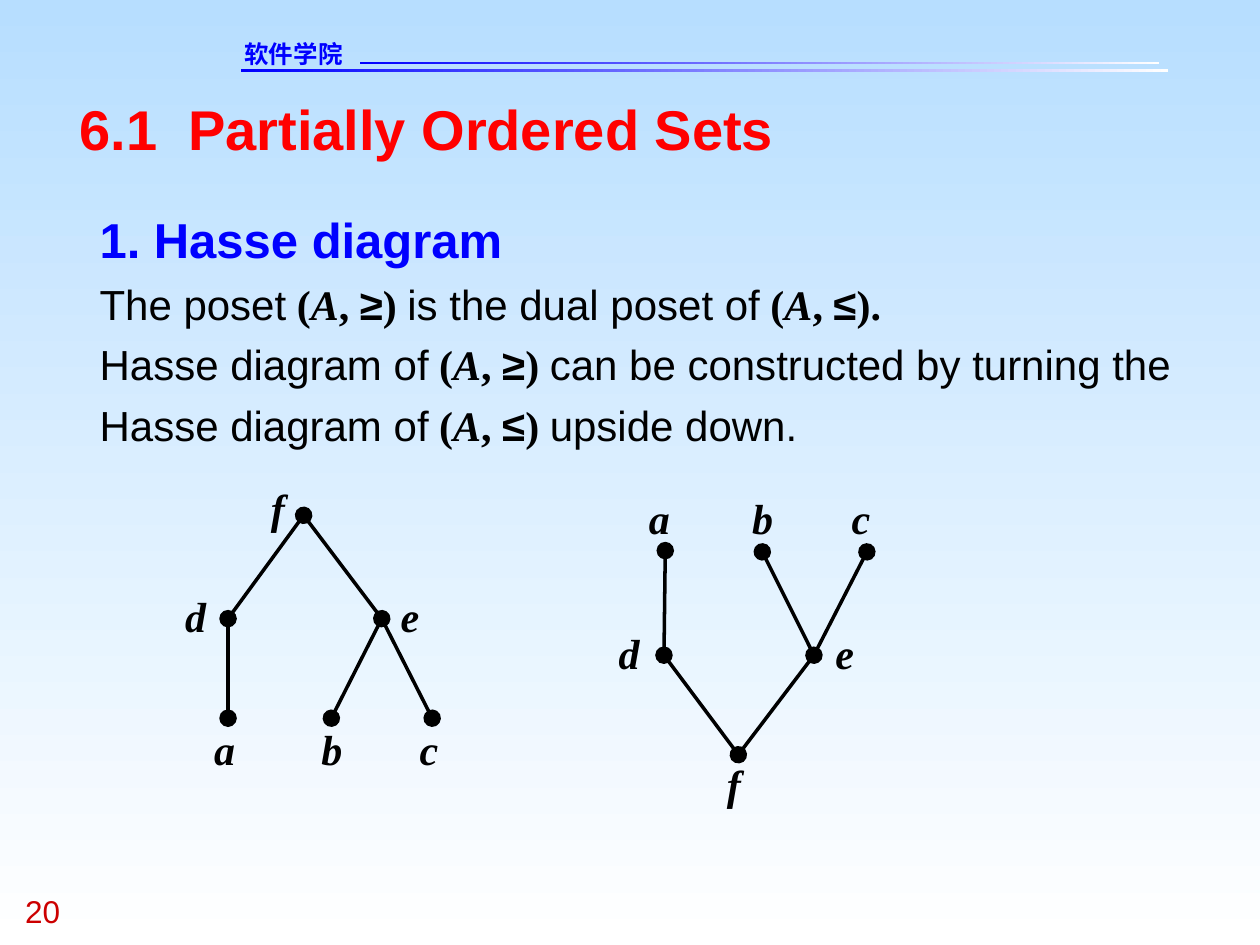
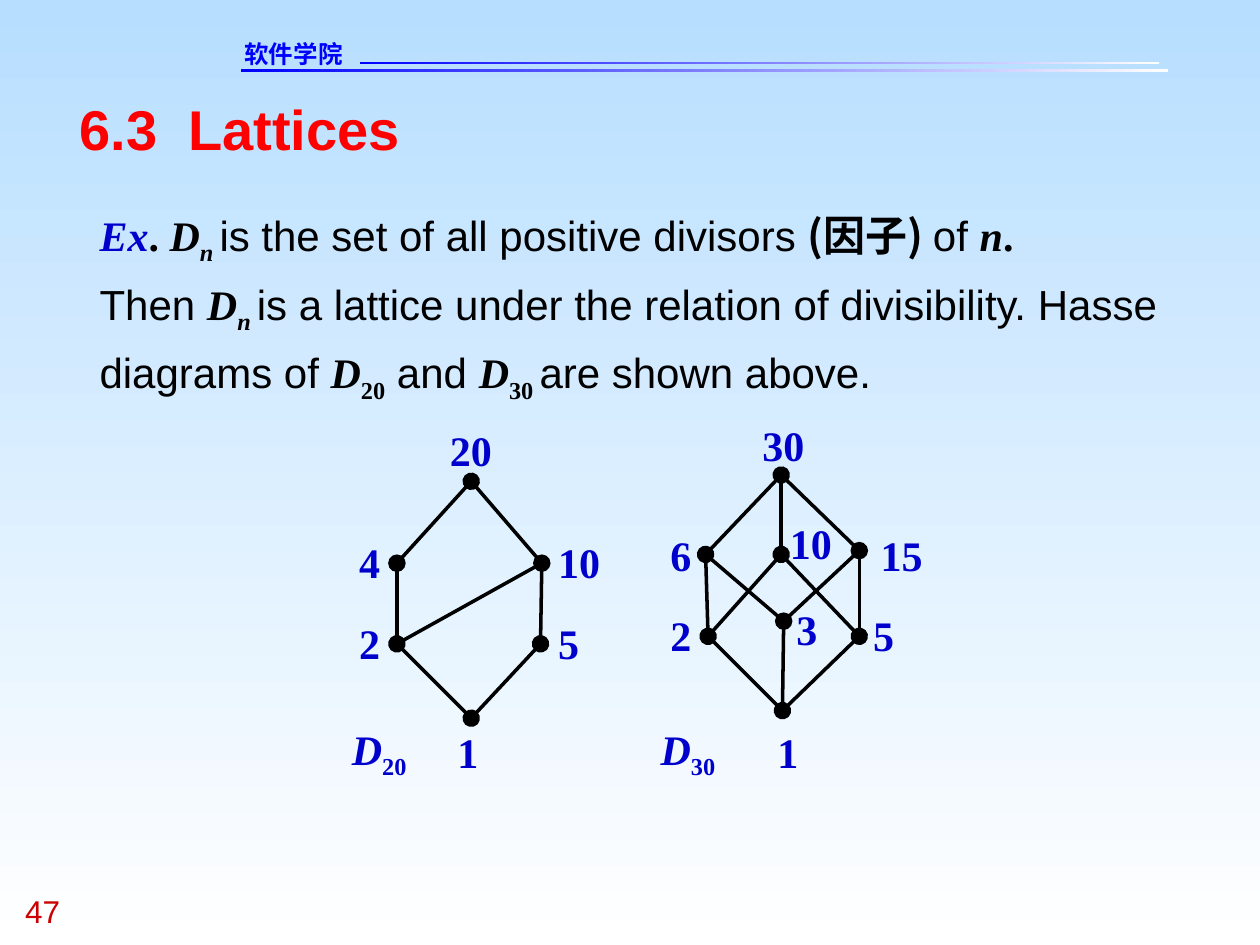
import dataclasses
import typing

import lxml.etree
import pptx
import pptx.dml.color
import pptx.enum.shapes
import pptx.enum.text
import pptx.oxml.ns
import pptx.util

SCALE = 9144  # EMU in one px, 100 px to the inch


@dataclasses.dataclass(frozen=True)
class Theme:
    sky: str = "B7DEFF"
    white: str = "FFFFFF"
    black: str = "000000"
    blue: str = "0000FF"
    navy: str = "0000CC"
    red: str = "FF0000"
    brick: str = "CC0000"
    sans: str = "Arial"
    serif: str = "Times New Roman"
    school: str = "DejaVu Sans"
    hanzi: str = "Noto Sans CJK SC"
    title: int = 32
    head: int = 28
    text: int = 24
    page: int = 18
    small: int = 14
    stroke: int = 2


THEME = Theme()


@dataclasses.dataclass(frozen=True)
class Look:
    font: str = THEME.sans
    size: int = THEME.text
    color: str = THEME.black
    bold: bool = False
    slant: bool = False
    sub: bool = False


class Box(typing.NamedTuple):
    left: int
    top: int
    width: int
    height: int


class Node(typing.NamedTuple):
    x: int
    y: int
    left: int  # corner of the label
    top: int


class Graph(typing.NamedTuple):
    nodes: dict[str, Node]
    edges: str
    look: Look


Run = tuple[str, Look]
Line = list[Run]

# Text looks
PLAIN = Look()
MATH = Look(font=THEME.serif, bold=True)
VAR = dataclasses.replace(MATH, slant=True)
SIGN = Look(bold=True)
HANZI = Look(font=THEME.hanzi, bold=True)
VAR_SUB = dataclasses.replace(VAR, sub=True)
NUM_SUB = dataclasses.replace(MATH, sub=True)
TITLE = Look(size=THEME.title, color=THEME.red, bold=True)
HEAD = Look(size=THEME.head, color=THEME.blue, bold=True)
SCHOOL = Look(THEME.school, THEME.small, THEME.blue, True)
PAGE = Look(size=THEME.page, color=THEME.brick)
NUM_TAG = dataclasses.replace(MATH, color=THEME.navy)
VAR_TAG = dataclasses.replace(VAR, color=THEME.navy)
SUB_TAG = dataclasses.replace(NUM_SUB, color=THEME.navy)

# Shared places
TITLE_BOX = Box(63, 75, 875, 53)
SCHOOL_BOX = Box(194, 31, 145, 23)
PAGE_BOX = Box(20, 708, 75, 30)
BARS = (Box(191, 55, 736, 2), Box(286, 49, 634, 2))


def px(value: int) -> pptx.util.Emu:
    return pptx.util.Emu(value * SCALE)


def rgb(color: str) -> pptx.dml.color.RGBColor:
    return pptx.dml.color.RGBColor.from_string(color)


def place(shape, box: Box) -> None:
    shape.left, shape.top, shape.width, shape.height = map(px, box)


def blend(fill, start: str, end: str, angle: int) -> None:
    fill.gradient()
    fill.gradient_angle = angle
    for stop, color in zip(fill.gradient_stops, (start, end)):
        stop.color.rgb = rgb(color)


def style(run, look: Look) -> None:
    font = run.font
    font.name, font.size = look.font, pptx.util.Pt(look.size)
    font.bold, font.italic = look.bold, look.slant
    font.color.rgb = rgb(look.color)
    props = run._r.get_or_add_rPr()
    east = lxml.etree.Element(pptx.oxml.ns.qn("a:ea"), typeface=look.font)
    props.find(pptx.oxml.ns.qn("a:latin")).addnext(east)
    if look.sub:
        props.set("baseline", "-25000")


def write(shape, lines: list[Line], space: float = 1.0, center: bool = False) -> None:
    frame = shape.text_frame
    frame.word_wrap = True
    frame.auto_size = pptx.enum.text.MSO_AUTO_SIZE.SHAPE_TO_FIT_TEXT
    frame.vertical_anchor = pptx.enum.text.MSO_ANCHOR.TOP
    frame.margin_left = frame.margin_right = 0
    frame.margin_top = frame.margin_bottom = 0
    align = pptx.enum.text.PP_ALIGN
    for count, line in enumerate(lines):
        para = frame.add_paragraph() if count else frame.paragraphs[0]
        para.alignment = align.CENTER if center else align.LEFT
        para.line_spacing = space
        para.space_before = pptx.util.Pt(0)
        if shape.is_placeholder:
            props = para._p.get_or_add_pPr()
            props.set("marL", "0")
            props.set("indent", "0")
            lxml.etree.SubElement(props, pptx.oxml.ns.qn("a:buNone"))
        for text, look in line:
            run = para.add_run()
            run.text = text
            style(run, look)


def add_text(slide, box: Box, line: Line, center: bool = False) -> None:
    shape = slide.shapes.add_textbox(*map(px, box))
    write(shape, [line], center=center)


def add_edge(slide, start: Node, end: Node, dots: dict[str, bool]) -> None:
    kind = pptx.enum.shapes.MSO_CONNECTOR.STRAIGHT
    edge = slide.shapes.add_connector(
        kind, px(start.x), px(start.y), px(end.x), px(end.y))
    edge.line.color.rgb = rgb(THEME.black)
    edge.line.width = pptx.util.Pt(THEME.stroke)
    stroke = edge.line._get_or_add_ln()
    for tag, shown in dots.items():
        if shown:
            lxml.etree.SubElement(
                stroke, pptx.oxml.ns.qn(tag), type="oval", w="lg", len="lg")
    props = edge._element.spPr
    lxml.etree.SubElement(props, pptx.oxml.ns.qn("a:effectLst"))


def add_graph(slide, graph: Graph) -> None:
    # The first edge to reach a node draws its dot
    seen: set[str] = set()
    for edge in graph.edges.split():
        start, end = edge.split("-")
        dots = {"a:headEnd": start not in seen, "a:tailEnd": end not in seen}
        add_edge(slide, graph.nodes[start], graph.nodes[end], dots)
        seen |= {start, end}
    for name, node in graph.nodes.items():
        box = Box(node.left, node.top, 17 * len(name), 40)
        add_text(slide, box, [(name, graph.look)])


def add_page(deck, title: str, page: int, body: Box, lines: list[Line]):
    slide = deck.slides.add_slide(deck.slide_layouts[1])
    blend(slide.background.fill, THEME.sky, THEME.white, 270)
    # Header band and page number
    for box in BARS:
        bar = slide.shapes.add_shape(
            pptx.enum.shapes.MSO_SHAPE.RECTANGLE, *map(px, box))
        bar.shadow.inherit = False
        bar.line.fill.background()
        blend(bar.fill, THEME.white, THEME.blue, 180)
    add_text(slide, SCHOOL_BOX, [("软件学院", SCHOOL)])
    add_text(slide, PAGE_BOX, [(str(page), PAGE)])
    # Title and body
    place(slide.shapes.title, TITLE_BOX)
    write(slide.shapes.title, [[(title, TITLE)]])
    place(slide.placeholders[1], body)
    write(slide.placeholders[1], lines, space=1.2)
    return slide


def poset(sign: str, close: str = ") ") -> Line:
    return [(" (", MATH), ("A", VAR), (", ", MATH), (sign, SIGN), (close, MATH)]


# Slide 1: a poset and its dual
HASSE_TEXT = [
    [("1. Hasse diagram", HEAD)],
    [("The poset", PLAIN), *poset("≥"),
     ("is the dual poset of", PLAIN), *poset("≤", ").")],
    [("Hasse diagram of", PLAIN), *poset("≥"),
     ("can be constructed by turning the Hasse diagram of", PLAIN),
     *poset("≤"), ("upside down.", PLAIN)],
]
TREE = "d-a f-d e-c e-b f-e"
POSET = Graph({
    "a": Node(181, 570, 170, 574),
    "b": Node(263, 570, 255, 574),
    "c": Node(343, 570, 333, 574),
    "d": Node(181, 491, 147, 469),
    "e": Node(303, 491, 318, 469),
    "f": Node(241, 409, 215, 383),
}, TREE, VAR)
DUAL = Graph({
    "a": Node(528, 437, 515, 391),
    "b": Node(605, 438, 597, 391),
    "c": Node(688, 438, 676, 391),
    "d": Node(527, 520, 491, 498),
    "e": Node(646, 520, 663, 498),
    "f": Node(586, 599, 577, 602),
}, TREE, VAR)

# Slide 2: lattices of divisors
EX = dataclasses.replace(VAR, color=THEME.navy)
LATTICE_TEXT = [
    [("Ex", EX), (". ", MATH), ("D", VAR), ("n ", VAR_SUB),
     ("is the set of all positive divisors ", PLAIN), ("(因子) ", HANZI),
     ("of ", PLAIN), ("n", VAR), (".", MATH)],
    [("Then ", PLAIN), ("D", VAR), ("n ", VAR_SUB),
     ("is a lattice under the relation of divisibility. "
      "Hasse diagrams of ", PLAIN),
     ("D", VAR), ("20", NUM_SUB), (" and ", PLAIN),
     ("D", VAR), ("30 ", NUM_SUB), ("are shown above.", PLAIN)],
]
TWENTY = Graph({
    "1": Node(374, 570, 363, 577),
    "2": Node(315, 511, 285, 490),
    "4": Node(315, 447, 285, 426),
    "5": Node(429, 511, 443, 490),
    "10": Node(430, 447, 443, 426),
    "20": Node(374, 382, 357, 337),
}, "1-5 1-2 2-4 5-10 4-20 10-20 2-10", NUM_TAG)
THIRTY = Graph({
    "1": Node(621, 564, 617, 577),
    "2": Node(562, 505, 532, 484),
    "3": Node(622, 493, 632, 479),
    "5": Node(682, 505, 693, 484),
    "6": Node(560, 440, 532, 420),
    "10": Node(620, 440, 627, 411),
    "15": Node(682, 437, 699, 420),
    "30": Node(620, 377, 605, 333),
}, "1-5 1-2 1-3 5-10 2-10 3-6 2-6 5-15 15-30 6-30 3-15 10-30", NUM_TAG)


def main() -> None:
    deck = pptx.Presentation()
    deck.slide_width, deck.slide_height = px(1000), px(750)

    slide = add_page(deck, "6.1  Partially Ordered Sets", 20,
                     Box(79, 157, 876, 200), HASSE_TEXT)
    for graph in (POSET, DUAL):
        add_graph(slide, graph)

    slide = add_page(deck, "6.3  Lattices", 47,
                     Box(79, 157, 876, 164), LATTICE_TEXT)
    for graph, left, order in ((TWENTY, 278, "20"), (THIRTY, 523, "30")):
        add_graph(slide, graph)
        add_text(slide, Box(left, 574, 46, 46),
                 [("D", VAR_TAG), (order, SUB_TAG)], center=True)

    deck.save("out.pptx")


if __name__ == "__main__":
    main()
